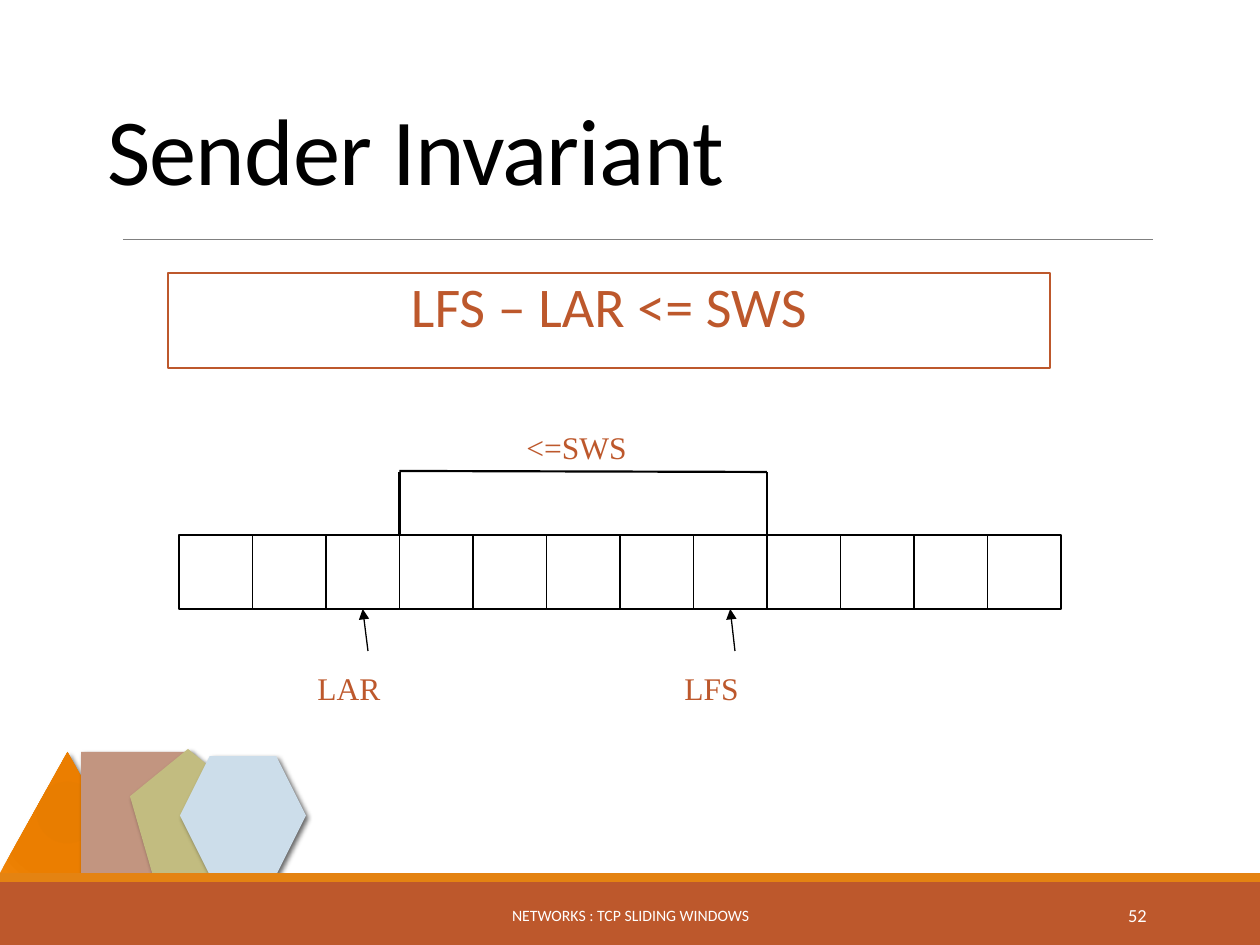
from dataclasses import dataclass

from lxml.etree import SubElement
from pptx import Presentation
from pptx.dml.color import RGBColor
from pptx.enum.shapes import MSO_CONNECTOR as Connector, MSO_SHAPE as Shape
from pptx.enum.text import MSO_ANCHOR as Anchor, PP_ALIGN as Align
from pptx.oxml import parse_xml
from pptx.oxml.ns import nsdecls, qn
from pptx.util import Emu, Pt


@dataclass(frozen=True)
class Theme:
    sans: str = "Calibri"
    serif: str = "Times New Roman"
    rust: str = "BD582C"
    orange: str = "E48312"
    clay: str = "C29580"
    olive: str = "C2BC80"
    sky: str = "CCDDEA"
    black: str = "000000"
    white: str = "FFFFFF"
    rule: str = "808080"
    title: float = 54
    formula: float = 32
    label: float = 18
    number: float = 10.5
    footer: float = 9
    hairline: float = 0.5
    thin: float = 0.75
    thick: float = 1.25


THEME = Theme()
EMU_PER_PX = 914400 / 126
SLIDE = (1260, 945)

# Content: boxes are left, top, width, height in px
TITLE = ("Sender Invariant", (95, 53, 1071, 158))
FORMULA = ("LFS – LAR <= SWS", (168, 273, 882, 95))
FOOTER = ("NETWORKS : TCP SLIDING WINDOWS", (381, 890, 499, 50))
NUMBER = ("52", (1023, 890, 136, 50))
GLOW = [(0, "E57B00"), (34, "E87D00"), (70, "EB7E00"), (100, "EF8407")]
ORNAMENTS = [
    (Shape.ISOSCELES_TRIANGLE, (0, 752, 135, 121), None),
    (Shape.RECTANGLE, (81, 752, 110, 121), THEME.clay),
    (Shape.REGULAR_PENTAGON, (130, 749, 116, 124), THEME.olive),
    (Shape.HEXAGON, (180, 756, 126, 119), THEME.sky),
]
BANDS = [((0, 882, 1260, 63), THEME.rust), ((0, 873, 1260, 9), THEME.orange)]
CELL_COUNT = 12
CELLS = (179, 535, 882, 74)
POINTERS = [("LAR", 2, 305), ("LFS", 7, 672)]  # label, cell index, label left
POINTER_TOP = 651
LABEL_SIZE = (126, 74)
WINDOW = ("<=SWS", 3, 8)  # label, first and last cell edge
WINDOW_TOP = 472
WINDOW_LABEL = (514, 410)


def px(value):
    return Emu(round(value * EMU_PER_PX))


def color(value):
    return RGBColor.from_string(value)


def add_shape(page, kind, box, fill=None, line=None):
    shape = page.shapes.add_shape(kind, *map(px, box))
    shape.shadow.inherit = False
    if fill:
        shape.fill.solid()
        shape.fill.fore_color.rgb = color(fill)
    else:
        shape.fill.background()
    if line:
        shape.line.color.rgb = color(line)
        shape.line.width = Pt(THEME.thin)
    else:
        shape.line.fill.background()
    return shape


def add_line(page, start, end, width, stroke=THEME.black, arrow=False):
    line = page.shapes.add_connector(Connector.STRAIGHT, *map(px, start + end))
    line.line.color.rgb = color(stroke)
    line.line.width = Pt(width)
    if arrow:
        SubElement(line.line._get_or_add_ln(), qn("a:tailEnd"), type="triangle")
    SubElement(line._element.spPr, qn("a:effectLst"))


def write(shape, text, font, size, ink, align=Align.LEFT, anchor=Anchor.MIDDLE, wrap=True):
    frame = shape.text_frame
    frame.word_wrap = wrap
    frame.vertical_anchor = anchor
    para = frame.paragraphs[0]
    para.alignment = align
    span = para.add_run()
    span.text = text
    span.font.name = font
    span.font.size = Pt(size)
    span.font.color.rgb = color(ink)
    return para, span


def add_text(page, content, *style, **layout):
    text, box = content
    return write(page.shapes.add_textbox(*map(px, box)), text, *style, **layout)


def add_label(page, text, left, top):
    shape = add_shape(page, Shape.RECTANGLE, (left, top, *LABEL_SIZE), THEME.white, THEME.white)
    write(shape, text, THEME.serif, THEME.label, THEME.rust, wrap=False)


def add_shadow(shape):
    effects = shape._element.spPr.find(qn("a:effectLst"))
    effects.append(parse_xml(
        f'<a:outerShdw {nsdecls("a")} blurRad="{Pt(3)}" dist="{Pt(2)}" dir="2700000"'
        ' algn="tl" rotWithShape="0"><a:srgbClr val="000000">'
        '<a:alpha val="60000"/></a:srgbClr></a:outerShdw>'))


def add_glow(shape):
    stops = "".join(f'<a:gs pos="{pos * 1000}"><a:srgbClr val="{tone}"/></a:gs>'
                    for pos, tone in GLOW)
    properties = shape._element.spPr
    properties.replace(properties.find(qn("a:noFill")), parse_xml(
        f'<a:gradFill {nsdecls("a")} rotWithShape="1"><a:gsLst>{stops}</a:gsLst>'
        '<a:path path="circle"><a:fillToRect l="100000" t="100000" r="100000" b="100000"/>'
        '</a:path></a:gradFill>'))


def draw_frame(page):
    # Corner ornaments, bands and title rule
    for kind, box, fill in ORNAMENTS:
        shape = add_shape(page, kind, box, fill)
        if fill is None:
            add_glow(shape)
        add_shadow(shape)
    for box, fill in BANDS:
        add_shape(page, Shape.RECTANGLE, box, fill)
    add_line(page, (123, 239), (1153, 239), THEME.hairline, THEME.rule)

    # Footer and slide number
    add_text(page, FOOTER, THEME.sans, THEME.footer, THEME.white, align=Align.CENTER)
    add_text(page, NUMBER, THEME.sans, THEME.number, THEME.white, align=Align.RIGHT)


def draw_heading(page):
    para, span = add_text(page, TITLE, THEME.sans, THEME.title, THEME.black, anchor=Anchor.BOTTOM)
    para.line_spacing = 0.85
    span.font._element.set("spc", "-50")

    text, box = FORMULA
    shape = add_shape(page, Shape.RECTANGLE, box, line=THEME.rust)
    shape.text_frame.margin_left = shape.text_frame.margin_right = 0
    para, _ = write(shape, text, THEME.sans, THEME.formula, THEME.rust, Align.CENTER, Anchor.TOP)
    para.line_spacing = 0.9
    para.space_before, para.space_after = Pt(12), Pt(2)
    indent = px(48)
    properties = para._p.get_or_add_pPr()
    properties.set("marL", str(indent))
    properties.set("indent", str(-indent))


def draw_window(page):
    # Row of equal cells
    left, top, width, height = CELLS
    pitch = width / CELL_COUNT
    for index in range(CELL_COUNT):
        add_shape(page, Shape.RECTANGLE, (left + index * pitch, top, pitch, height),
                  THEME.white, THEME.black)

    # Labels with arrows to the middle of their cells
    for text, index, label_left in POINTERS:
        add_label(page, text, label_left, POINTER_TOP)
        add_line(page, (label_left + LABEL_SIZE[0] / 2, POINTER_TOP),
                 (left + (index + 0.5) * pitch, top + height), THEME.thin, arrow=True)

    # Bracket over the window
    text, *edges = WINDOW
    add_label(page, text, *WINDOW_LABEL)
    first, last = (left + edge * pitch for edge in edges)
    add_line(page, (last, WINDOW_TOP), (last, top), THEME.thin)
    add_line(page, (first, WINDOW_TOP), (first, top), THEME.thick)
    add_line(page, (first, WINDOW_TOP - 1), (last, WINDOW_TOP), THEME.thick)


def main():
    deck = Presentation()
    deck.slide_width, deck.slide_height = map(px, SLIDE)
    page = deck.slides.add_slide(deck.slide_layouts[6])
    draw_frame(page)
    draw_heading(page)
    draw_window(page)
    deck.save("out.pptx")


if __name__ == "__main__":
    main()
